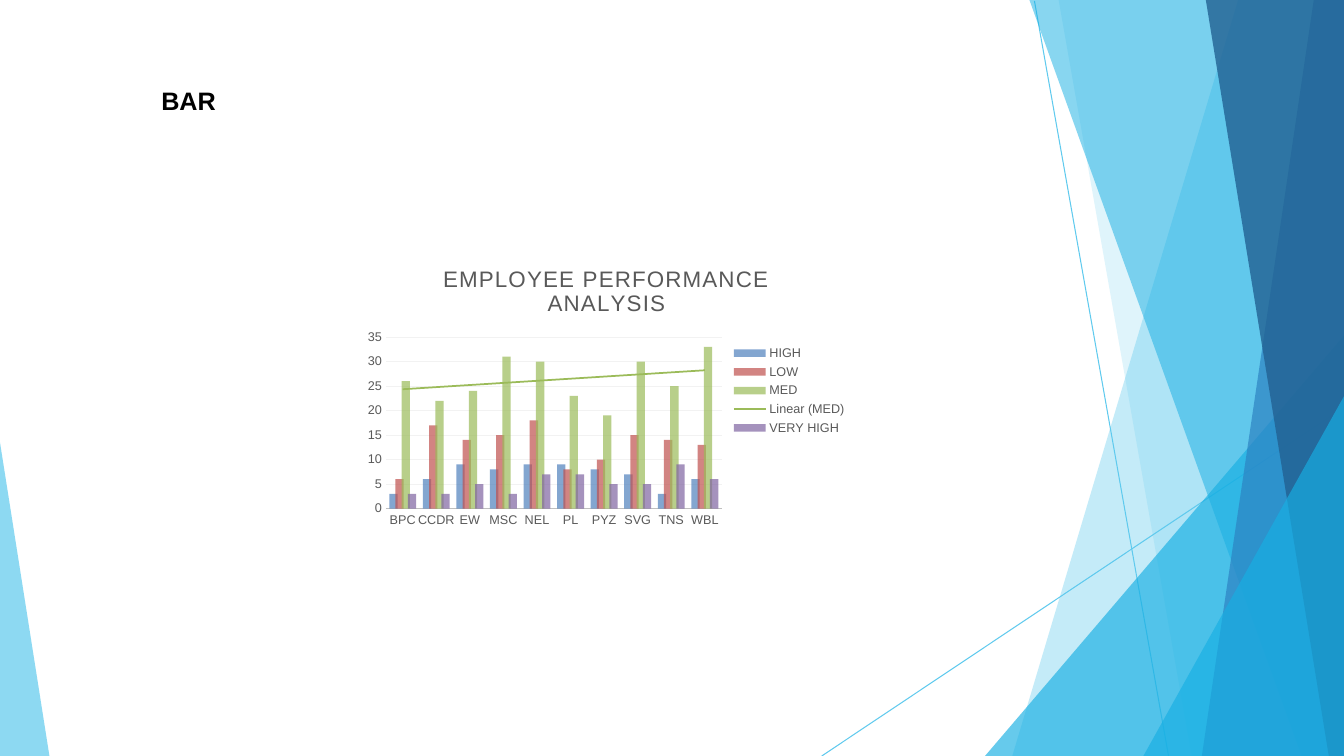
from lxml import etree
from pptx import Presentation
from pptx.chart.data import CategoryChartData
from pptx.dml.color import RGBColor
from pptx.enum.chart import XL_CHART_TYPE, XL_LEGEND_POSITION, XL_TICK_MARK
from pptx.enum.shapes import MSO_CONNECTOR
from pptx.enum.text import MSO_ANCHOR, PP_ALIGN
from pptx.oxml import parse_xml
from pptx.oxml.ns import nsdecls, qn
from pptx.util import Inches, Pt

WIDE, HIGH = 13.33, 7.5
FONT = "Arial"
COLORS = {
    "sky": "5FCAEE", "cyan": "17AFE3", "blue": "2D83C3", "navy": "226192",
    "black": "000000", "text": "595959", "axis": "BFBFBF", "grid": "F2F2F2",
    "HIGH": "4F81BD", "LOW": "C0504D", "MED": "9BBB59", "VERY HIGH": "8064A2",
}
RULES = [((10.26, 0.01), (11.59, HIGH)), ((WIDE, 4.04), (8.15, HIGH))]


def band(top, foot):
    """Corners of a panel that runs down the right edge of the slide."""
    return [(WIDE, 0), (top, 0), (foot, HIGH), (WIDE, HIGH)]


def wedge(top, foot):
    """Corners of a triangle in the bottom right corner of the slide."""
    return [(WIDE, top), (foot, HIGH), (WIDE, HIGH)]


PANELS = [
    (band(12.28, 10.04), "sky", 37),
    (band(10.5, 11.82), "sky", 20),
    (wedge(3.33, 9.77), "cyan", 66),
    (band(10.21, 12.91), "cyan", 51),
    (band(13.03, 11.92), "blue", 71),
    (band(11.96, 13.18), "navy", 80),
    (wedge(3.93, 11.34), "cyan", 66),
    ([(0, 4.39), (0, HIGH), (0.49, HIGH)], "sky", 71),
]
CATS = ["BPC", "CCDR", "EW", "MSC", "NEL", "PL", "PYZ", "SVG", "TNS", "WBL"]
SCORES = {
    "HIGH": [3, 6, 9, 8, 9, 9, 8, 7, 3, 6],
    "LOW": [6, 17, 14, 15, 18, 8, 10, 15, 14, 13],
    "MED": [26, 22, 24, 31, 30, 23, 19, 30, 25, 33],
    "VERY HIGH": [3, 3, 5, 3, 7, 7, 5, 5, 9, 6],
}


def rgb(name):
    return RGBColor.from_string(COLORS[name])


def tint(fill, name, alpha):
    """Fill with a colour at the given percentage of opacity."""
    fill.solid()
    fill.fore_color.rgb = rgb(name)
    color = fill._xPr.find(".//" + qn("a:srgbClr"))
    etree.SubElement(color, qn("a:alpha")).set("val", str(alpha * 1000))


def style(font, size, name, bold=False):
    font.name, font.size, font.bold = FONT, Pt(size), bold
    font.color.rgb = rgb(name)


def stroke(line, name, width):
    line.color.rgb = rgb(name)
    line.width = Pt(width)


def add_rule(slide, start, end):
    ends = [Inches(n) for n in start + end]
    rule = slide.shapes.add_connector(MSO_CONNECTOR.STRAIGHT, *ends)
    stroke(rule.line, "sky", 0.75)
    etree.SubElement(rule._element.spPr, qn("a:effectLst"))


def add_panel(slide, points, name, alpha):
    spots = [(Inches(x), Inches(y)) for x, y in points]
    build = slide.shapes.build_freeform(*spots[0])
    build.add_line_segments(spots[1:], close=True)
    panel = build.convert_to_shape()
    panel.shadow.inherit = False
    panel.line.fill.background()
    tint(panel.fill, name, alpha)


def set_title(slide, text):
    title = slide.shapes.title
    title.left, title.top = Inches(1.5), Inches(0.8)
    title.width, title.height = Inches(1.65), Inches(0.4)
    frame = title.text_frame
    frame.text = text
    frame.word_wrap = True
    frame.vertical_anchor = MSO_ANCHOR.TOP
    para = frame.paragraphs[0]
    para.alignment = PP_ALIGN.LEFT
    style(para.runs[0].font, 18, "black", True)


def set_axes(chart):
    for axis in (chart.category_axis, chart.value_axis):
        axis.major_tick_mark = axis.minor_tick_mark = XL_TICK_MARK.NONE
        style(axis.tick_labels.font, 9, "text")
    stroke(chart.category_axis.format.line, "axis", 1.25)
    value = chart.value_axis
    value.minimum_scale, value.maximum_scale, value.major_unit = 0, 35, 5
    value.format.line.fill.background()
    stroke(value.major_gridlines.format.line, "grid", 0.75)


def add_trend(series):
    trend = parse_xml(
        f'<c:trendline {nsdecls("c", "a")}><c:spPr><a:ln w="{Pt(1.25)}">'
        f'<a:solidFill><a:srgbClr val="{COLORS[series.name]}"/></a:solidFill>'
        '</a:ln></c:spPr><c:trendlineType val="linear"/>'
        '<c:dispRSqr val="0"/><c:dispEq val="0"/></c:trendline>')
    series._element.find(qn("c:cat")).addprevious(trend)


def place_plot(chart, **share):
    """Set the inner plot area as shares of the chart's size."""
    area = chart._chartSpace.chart.plotArea
    for old in area.findall(qn("c:layout")):
        area.remove(old)
    parts = "".join(f'<c:{key} val="{val}"/>' for key, val in share.items())
    area.insert(0, parse_xml(
        f'<c:layout {nsdecls("c")}><c:manualLayout>'
        '<c:layoutTarget val="inner"/><c:xMode val="edge"/>'
        f'<c:yMode val="edge"/>{parts}</c:manualLayout></c:layout>'))


def add_bars(slide, heading):
    data = CategoryChartData()
    data.categories = CATS
    for name, vals in SCORES.items():
        data.add_series(name, vals)
    chart = slide.shapes.add_chart(
        XL_CHART_TYPE.COLUMN_CLUSTERED, Inches(3.53), Inches(2.48),
        Inches(4.97), Inches(2.79), data).chart
    style(chart.font, 10, "black")
    chart.has_title = True
    frame = chart.chart_title.text_frame
    frame.text = heading
    run = frame.paragraphs[0].runs[0]
    style(run.font, 16, "text")
    run.font._element.set("spc", "100")
    chart.chart_title.include_in_layout = False
    chart.has_legend = True
    chart.legend.position = XL_LEGEND_POSITION.RIGHT
    chart.legend.include_in_layout = False
    style(chart.legend.font, 9, "text")
    set_axes(chart)
    plot = chart.plots[0]
    plot.gap_width, plot.overlap, plot.vary_by_categories = 80, 25, False
    for series in plot.series:
        tint(series.format.fill, series.name, 70)
        if series.name == "MED":
            add_trend(series)
    place_plot(chart, x=0.06, y=0.31, w=0.67, h=0.61)


def main():
    deck = Presentation()
    deck.slide_width, deck.slide_height = Inches(WIDE), Inches(HIGH)
    slide = deck.slides.add_slide(deck.slide_layouts[5])
    for start, end in RULES:
        add_rule(slide, start, end)
    for points, name, alpha in PANELS:
        add_panel(slide, points, name, alpha)
    set_title(slide, "BAR")
    add_bars(slide, "EMPLOYEE PERFORMANCE ANALYSIS")
    deck.save("out.pptx")


if __name__ == "__main__":
    main()
